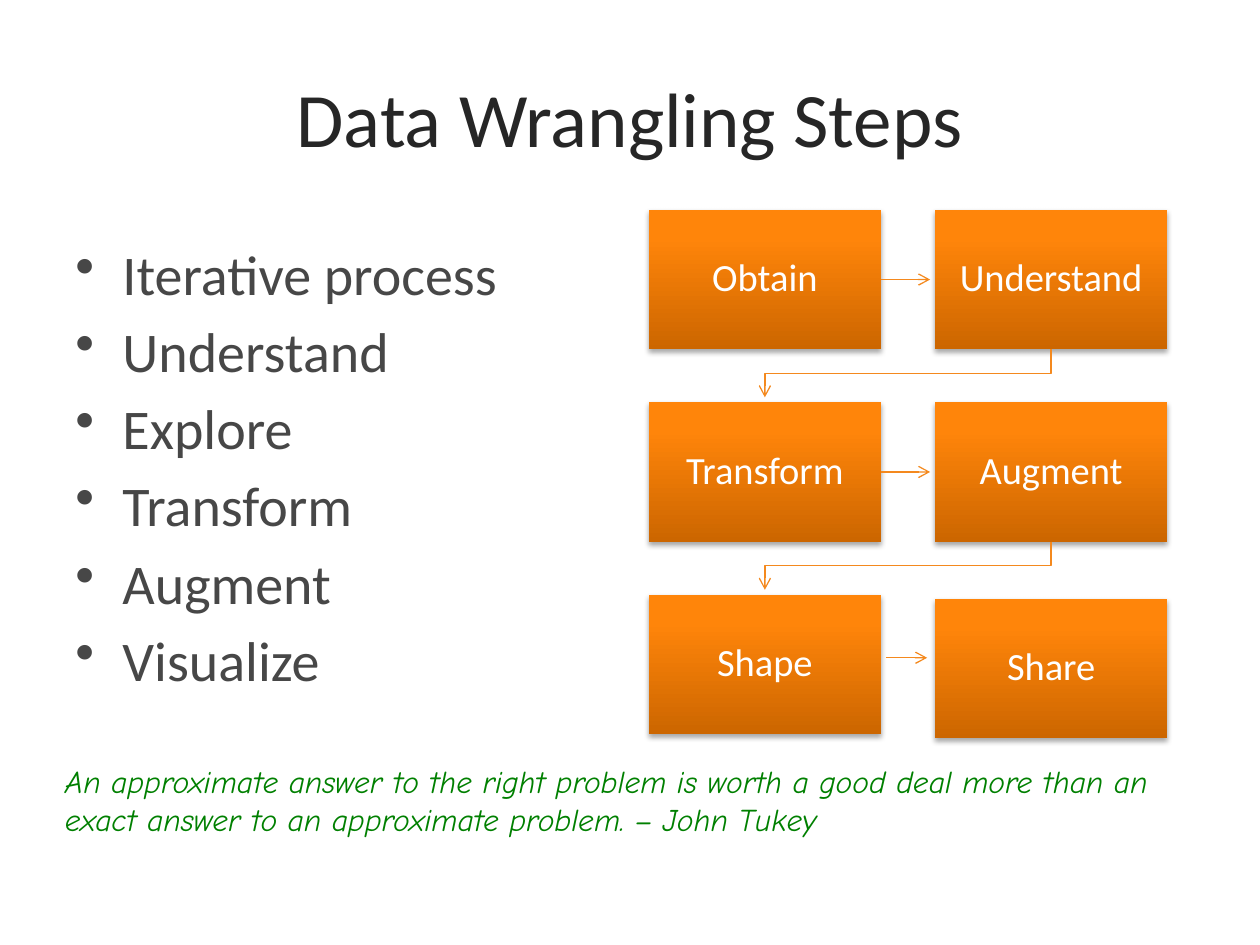
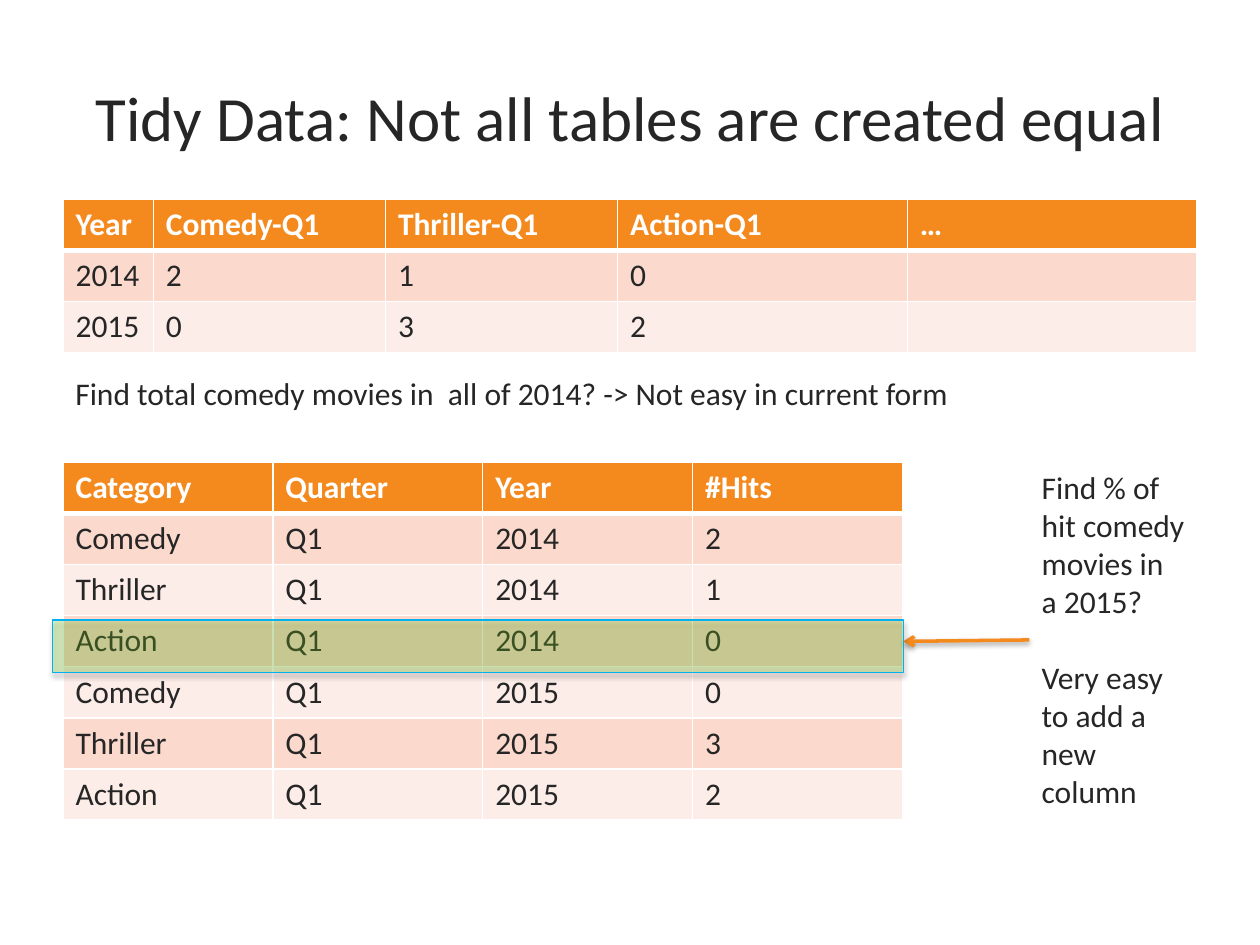
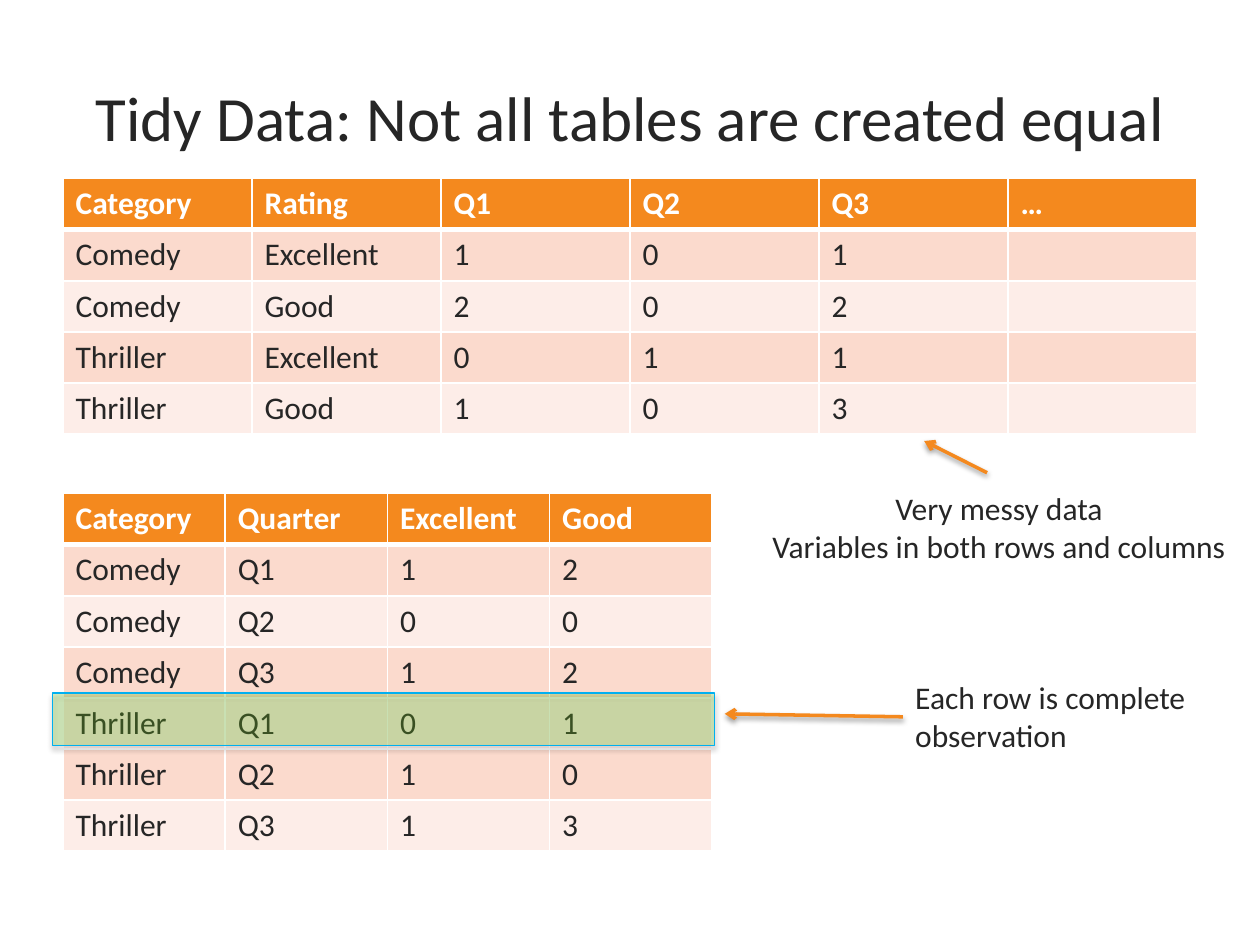
from lxml.etree import SubElement
from pptx import Presentation
from pptx.dml.color import RGBColor
from pptx.enum.shapes import MSO_CONNECTOR as Connector, MSO_SHAPE as Preset
from pptx.enum.text import MSO_ANCHOR as Anchor, PP_ALIGN as Align
from pptx.oxml.ns import qn
from pptx.util import Cm, Pt

WHITE = RGBColor(0xFF, 0xFF, 0xFF)
INK = RGBColor(0x26, 0x26, 0x26)
GREY = RGBColor(0x47, 0x47, 0x47)
ORANGE = RGBColor(0xF4, 0x89, 0x1E)
STEP_DARK = RGBColor(0xCC, 0x66, 0x00)
STEP_LIGHT = RGBColor(0xFF, 0x85, 0x0A)
BAND_DARK = RGBColor(0xFB, 0xDA, 0xCD)
BAND_LIGHT = RGBColor(0xFD, 0xED, 0xE8)
QUOTE_GREEN = RGBColor(0x00, 0x80, 0x00)
LIME = RGBColor(0x7B, 0xCF, 0x27)
SKY = RGBColor(0x00, 0xB0, 0xF0)

BODY_FONT = "Calibri"
QUOTE_FONT = "Comic Neue"
MARGIN = 1.27
ROW_HEIGHT = 1.03
TIDY_TITLE = "Tidy Data: Not all tables are created equal"


class Deck:
    """Holds the shared style and the slide being filled; lengths are centimetres."""

    def __init__(self):
        self.deck = Presentation()
        self.deck.slide_width, self.deck.slide_height = Cm(25.4), Cm(19.05)
        self.shapes = None

    def slide(self, title, size=36):
        """Start a slide with its centred title."""
        self.shapes = self.deck.slides.add_slide(self.deck.slide_layouts[6]).shapes
        self.text(MARGIN, 0.76, 22.86, 3.18, [title], size=size,
                  align=Align.CENTER, anchor=Anchor.MIDDLE)

    def add_words(self, paragraph, words, size=18, color=INK, font=BODY_FONT,
                  bold=False, italic=False):
        """Add one formatted run."""
        run = paragraph.add_run()
        run.text = words
        run.font.size, run.font.name = Pt(size), font
        run.font.bold, run.font.italic = bold, italic
        run.font.color.rgb = color

    def text(self, left, top, width, height, lines, align=Align.LEFT,
             anchor=Anchor.TOP, gap=0, bullet=None, **style):
        """Add a wrapped text box with one paragraph per line."""
        frame = self.shapes.add_textbox(Cm(left), Cm(top), Cm(width), Cm(height)).text_frame
        frame.word_wrap, frame.vertical_anchor = True, anchor
        for index, line in enumerate(lines):
            paragraph = frame.add_paragraph() if index else frame.paragraphs[0]
            if bullet:
                properties = paragraph._p.get_or_add_pPr()
                properties.set("marL", str(Cm(0.95)))
                properties.set("indent", str(-Cm(0.95)))
                SubElement(properties, qn("a:buChar"), char=bullet)
            paragraph.alignment = align
            if index and gap:
                paragraph.space_before = Pt(gap)
            self.add_words(paragraph, line, **style)

    def effects(self, shape, opacity=0, distance=1.8):
        """Replace the theme shadow by a soft one below, or by none."""
        effects = SubElement(shape.element.spPr, qn("a:effectLst"))
        if opacity:
            shadow = SubElement(effects, qn("a:outerShdw"), blurRad=str(Pt(3.1)),
                                dist=str(Pt(distance)), dir="5400000", rotWithShape="0")
            black = SubElement(shadow, qn("a:srgbClr"), val="000000")
            SubElement(black, qn("a:alpha"), val=str(opacity * 1000))

    def arrow_style(self, shape, weight, opacity=0):
        """Give a line its colour, weight, arrowhead and shadow."""
        shape.line.color.rgb, shape.line.width = ORANGE, Pt(weight)
        SubElement(shape.element.spPr.find(qn("a:ln")), qn("a:tailEnd"), type="arrow")
        self.effects(shape, opacity, 1.6)

    def arrow(self, start, end, weight=2, opacity=38):
        """Add a straight arrow."""
        ends = [Cm(length) for length in (*start, *end)]
        line = self.shapes.add_connector(Connector.STRAIGHT, *ends)
        self.arrow_style(line, weight, opacity)

    def elbow(self, start, end):
        """Add a thin arrow that goes down, across and down."""
        middle = (start[1] + end[1]) / 2
        corners = [(start[0], middle), (end[0], middle), end]
        builder = self.shapes.build_freeform(Cm(start[0]), Cm(start[1]))
        builder.add_line_segments([(Cm(x), Cm(y)) for x, y in corners], close=False)
        route = builder.convert_to_shape()
        route.fill.background()
        self.arrow_style(route, 0.75)

    def step(self, left, top, width, height, label):
        """Add a shaded box of the process."""
        box = self.shapes.add_shape(Preset.RECTANGLE, Cm(left), Cm(top), Cm(width), Cm(height))
        box.fill.gradient()
        box.fill.gradient_angle = 90
        stops = zip(box.fill.gradient_stops, (0, 0.8), (STEP_DARK, STEP_LIGHT))
        for stop, position, color in stops:
            stop.position, stop.color.rgb = position, color
        box.line.fill.background()
        self.effects(box, 35)
        frame = box.text_frame
        frame.vertical_anchor = Anchor.MIDDLE
        paragraph = frame.paragraphs[0]
        paragraph.alignment, paragraph.line_spacing = Align.CENTER, 0.9
        self.add_words(paragraph, label, size=22, color=WHITE)

    def highlight(self, top, width):
        """Mark a table row with a see-through frame."""
        marker = self.shapes.add_shape(Preset.RECTANGLE, Cm(1.06), Cm(top), Cm(width), Cm(1.06))
        marker.fill.solid()
        marker.fill.fore_color.rgb = LIME
        tint = marker.element.spPr.find(qn("a:solidFill")).find(qn("a:srgbClr"))
        SubElement(tint, qn("a:alpha"), val="27000")
        marker.line.color.rgb, marker.line.width = SKY, Pt(0.75)
        self.effects(marker, 35)

    def borders(self, cell, row):
        """Draw white cell edges, thicker under the header."""
        weights = {"L": 1, "R": 1, "T": 3 if row == 1 else 1, "B": 3 if row == 0 else 1}
        properties = cell._tc.get_or_add_tcPr()
        for side, weight in weights.items():
            edge = SubElement(properties, qn(f"a:ln{side}"), w=str(Pt(weight)))
            paint = SubElement(edge, qn("a:solidFill"))
            SubElement(paint, qn("a:srgbClr"), val=str(WHITE))

    def table(self, top, widths, rows):
        """Add a banded table whose first row is the header."""
        grid = self.shapes.add_table(len(rows), len(widths), Cm(MARGIN), Cm(top),
                                     Cm(sum(widths)), Cm(ROW_HEIGHT * len(rows))).table
        for column, width in zip(grid.columns, widths):
            column.width = Cm(width)
        for r, values in enumerate(rows):
            grid.rows[r].height = Cm(ROW_HEIGHT)
            header = r == 0
            band = ORANGE if header else BAND_DARK if r % 2 else BAND_LIGHT
            for c, value in enumerate(values):
                cell = grid.cell(r, c)
                self.borders(cell, r)
                cell.fill.solid()
                cell.fill.fore_color.rgb = band
                if value:
                    self.add_words(cell.text_frame.paragraphs[0], value, bold=header,
                                   color=WHITE if header else INK)


def wrangling_steps(deck):
    """Show the steps as a list and as a flow."""
    deck.slide("Data Wrangling Steps", size=44)
    left, top, width, height = 13.08, 4.23, 4.68, 2.81
    across, down, clearance = 5.77, 3.88, 0.1
    flow = [("Obtain", "Understand"), ("Transform", "Augment"), ("Shape", "Share")]
    for row, labels in enumerate(flow):
        y = top + row * down
        last = row == len(flow) - 1
        for column, label in enumerate(labels):
            nudge = 0.08 if label == "Share" else 0
            deck.step(left + column * across, y + nudge, width, height, label)
        if last:
            deck.arrow((17.86, 13.26), (18.69, 13.26), 0.75, 0)
        else:
            middle = y + height / 2
            deck.arrow((left + width, middle), (left + across - clearance, middle), 0.75, 0)
            center = left + width / 2
            deck.elbow((center + across, y + height), (center, y + down - clearance))
    deck.text(1.06, 15.24, 23.5, 1.8,
              ["An approximate answer to the right problem is worth a good deal more than an "
               "exact answer to an approximate problem. – John Tukey"],
              color=QUOTE_GREEN, font=QUOTE_FONT, italic=True)
    deck.text(MARGIN, 4.7, 11.5, 10.58,
              ["Iterative process", "Understand", "Explore", "Transform", "Augment", "Visualize"],
              size=32, color=GREY, gap=5.7, bullet="•")


def movies_by_year(deck):
    """Compare a wide table of hits with its tidy form."""
    deck.slide(TIDY_TITLE)
    deck.table(4.02, [1.82, 4.68, 4.68, 5.84, 5.84], [
        ("Year", "Comedy-Q1", "Thriller-Q1", "Action-Q1", "…"),
        ("2014", "2", "1", "0", ""),
        ("2015", "0", "3", "2", ""),
    ])
    deck.table(9.32, [4.23] * 4, [
        ("Category", "Quarter", "Year", "#Hits"),
        ("Comedy", "Q1", "2014", "2"),
        ("Thriller", "Q1", "2014", "1"),
        ("Action", "Q1", "2014", "0"),
        ("Comedy", "Q1", "2015", "0"),
        ("Thriller", "Q1", "2015", "3"),
        ("Action", "Q1", "2015", "2"),
    ])
    deck.text(MARGIN, 7.42, 18.34, 1.02,
              ["Find total comedy movies in  all of 2014? -> Not easy in current form"])
    deck.text(20.75, 9.32, 3.38, 7.19,
              ["Find % of hit comedy movies in a 2015?", "Very easy to add a new column"], gap=22)
    deck.arrow((20.75, 12.9), (18.21, 12.93))
    deck.highlight(12.5, 17.15)


def movies_by_rating(deck):
    """Compare a messy table of ratings with its tidy form."""
    deck.slide(TIDY_TITLE)
    deck.table(3.6, [3.81] * 6, [
        ("Category", "Rating", "Q1", "Q2", "Q3", "…"),
        ("Comedy", "Excellent", "1", "0", "1", ""),
        ("Comedy", "Good", "2", "0", "2", ""),
        ("Thriller", "Excellent", "0", "1", "1", ""),
        ("Thriller", "Good", "1", "0", "3", ""),
    ])
    deck.table(9.95, [3.27] * 4, [
        ("Category", "Quarter", "Excellent", "Good"),
        ("Comedy", "Q1", "1", "2"),
        ("Comedy", "Q2", "0", "0"),
        ("Comedy", "Q3", "1", "2"),
        ("Thriller", "Q1", "0", "1"),
        ("Thriller", "Q2", "1", "0"),
        ("Thriller", "Q3", "1", "3"),
    ])
    deck.highlight(13.97, 13.34)
    deck.text(15.24, 9.74, 9.8, 1.8,
              ["Very messy data", "Variables in both rows and columns"], align=Align.CENTER)
    deck.text(18.2, 13.55, 6.05, 1.8, ["Each row is complete", "observation"])
    deck.arrow((19.9, 9.53), (18.63, 8.89))
    deck.arrow((18.2, 14.45), (14.61, 14.39))


def main():
    """Build the three slides."""
    deck = Deck()
    wrangling_steps(deck)
    movies_by_year(deck)
    movies_by_rating(deck)
    deck.deck.save("out.pptx")


if __name__ == "__main__":
    main()
